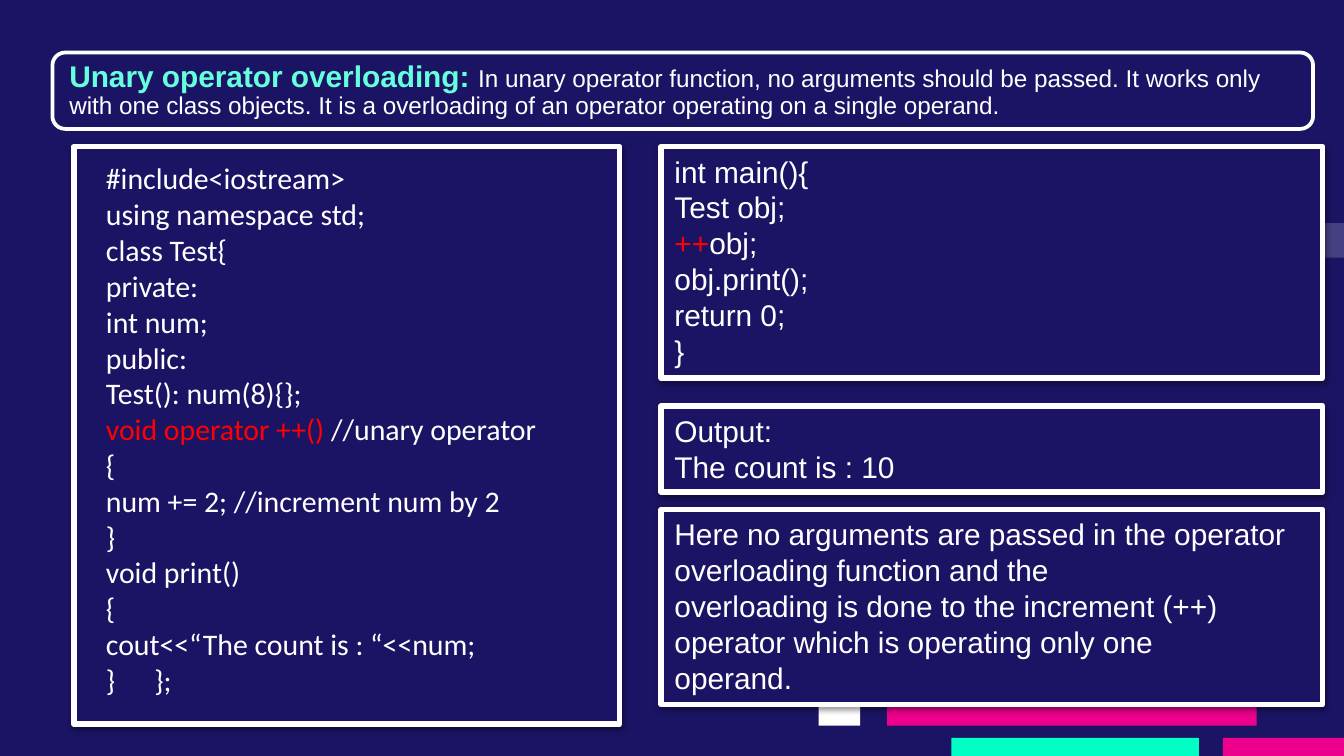
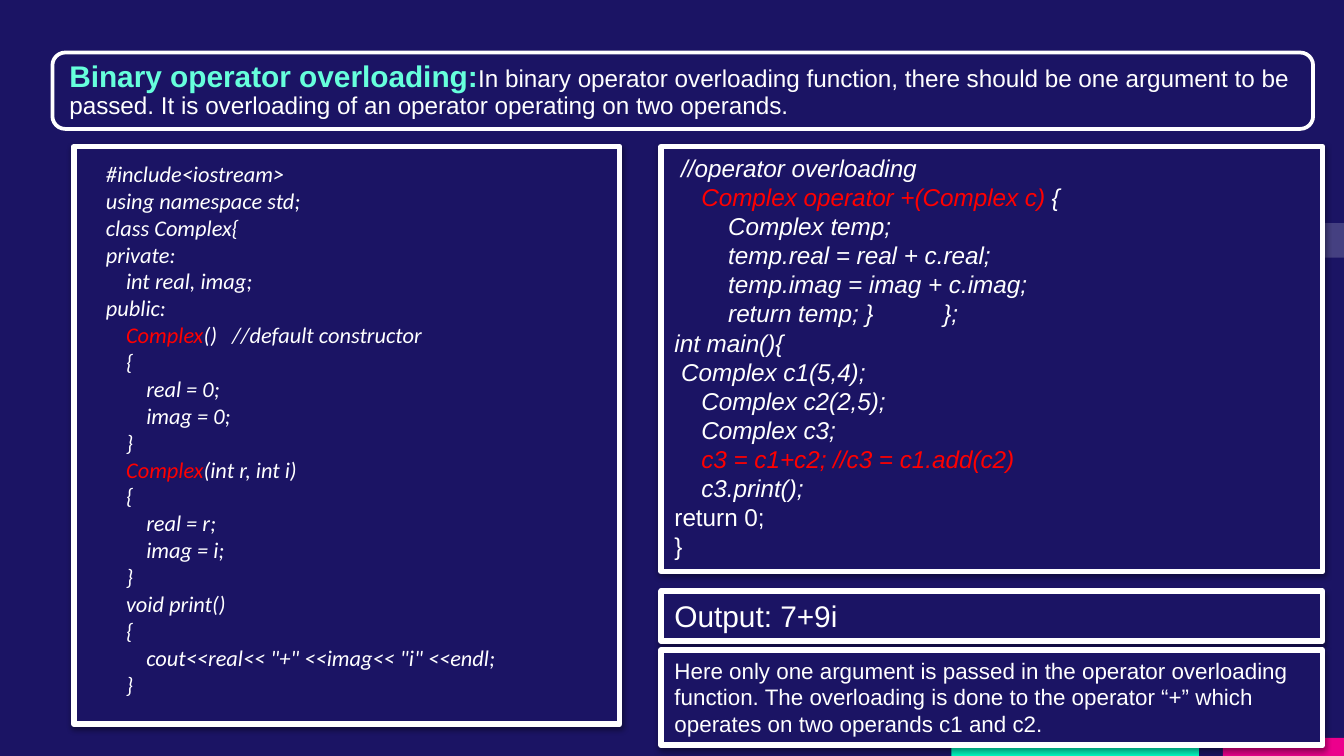
from lxml import etree
from pptx import Presentation, util as u
from pptx.dml.color import RGBColor
from pptx.enum import shapes, text
from pptx.oxml import parse_xml
from pptx.oxml.ns import qn

NS = "http://schemas.openxmlformats.org/drawingml/2006/main"
NAVY, WHITE, RED = "1B1464", "FFFFFF", "FF0000"
PINK, TEAL, MINT = "EC008C", "00FFC5", "66FFDC"
RECT = shapes.MSO_SHAPE.RECTANGLE
ROUND = shapes.MSO_SHAPE.ROUNDED_RECTANGLE
SHADOW = (f'<a:effectLst xmlns:a="{NS}"><a:outerShdw blurRad="39370" dist="20320" '
          'dir="5400000" rotWithShape="0"><a:srgbClr val="000000">'
          '<a:alpha val="38000"/></a:srgbClr></a:outerShdw></a:effectLst>')

prs = Presentation()
prs.slide_width, prs.slide_height = u.Inches(10), u.Inches(5.625)
COL, ROW = prs.slide_width / 100, prs.slide_height / 100


def panel(s, left, top, width, height, fill=NAVY, line=0, kind=RECT, shadow=False):
    sp = s.shapes.add_shape(kind, int(left * COL), int(top * ROW),
                            int(width * COL), int(height * ROW))
    sp.shadow.inherit = False
    sp.fill.solid()
    sp.fill.fore_color.rgb = RGBColor.from_string(fill)
    if line:
        sp.line.color.rgb = RGBColor.from_string(WHITE)
        sp.line.width = u.Pt(line)
    else:
        sp.line.fill.background()
    if shadow:
        effects = sp._element.spPr.find(qn("a:effectLst"))
        effects.getparent().replace(effects, parse_xml(SHADOW))
    return sp


def write(sp, lines, size=16, font="Arial", accent=RED, italic=False, upright=0,
          start=0, step=0, tab=0, margins=(0.1, 0.05), anchor=text.MSO_ANCHOR.TOP,
          spacing=None):
    tf = sp.text_frame
    tf.word_wrap = True
    tf.vertical_anchor = anchor
    tf.margin_left = tf.margin_right = u.Inches(margins[0])
    tf.margin_top = tf.margin_bottom = u.Inches(margins[1])
    for n, line in enumerate(lines):
        p = tf.paragraphs[0] if n == 0 else tf.add_paragraph()
        p.alignment = text.PP_ALIGN.LEFT
        p.line_spacing = spacing or u.Pt(size * 1.2)
        words = line.lstrip(">")
        first = start + step * (len(line) - len(words))
        left = tab if "\t" in words else first
        pPr = p._p.get_or_add_pPr()
        pPr.set("marL", str(u.Inches(left)))
        pPr.set("indent", str(u.Inches(first - left)))
        for k, part in enumerate(words.split("*")):
            if part:
                r = p.add_run()
                r.text = part
                r.font.name, r.font.size = font, u.Pt(size)
                r.font.bold = False
                r.font.italic = italic and n < len(lines) - upright
                r.font.color.rgb = RGBColor.from_string(accent if k % 2 else WHITE)


unary_code = """#include<iostream>
using namespace std;
class Test{
private:
int num;
public:
Test(): num(8){};
*void operator ++()* //unary operator
{
num += 2; //increment num by 2
}
void print()
{
cout<<“The count is : “<<num;
}\t};"""

unary_main = """int main(){
Test obj;
*++*obj;
obj.print();
return 0;
}"""

unary_note = """Here no arguments are passed in the operator overloading function and the
overloading is done to the increment (++) operator which is operating only one
operand."""

binary_code = """#include<iostream>
using namespace std;
class Complex{
private:
>int real, imag;
public:
>*Complex*()\t//default constructor
>{
>>real = 0;
>>imag = 0;
>}
>*Complex*(int r, int i)
>{
>>real = r;
>>imag = i;
>}
>void print()
>{
>>cout<<real<< "+" <<imag<< "i" <<endl;
>}"""

binary_main = """ //operator overloading
>*Complex operator +(Complex c) *{
>>Complex temp;
>>temp.real = real + c.real;
>>temp.imag = imag + c.imag;
>>return temp; }\t};
int main(){
\u00a0Complex c1(5,4);
>Complex c2(2,5);
>Complex c3;
>*c3 = c1+c2; //c3 = c1.add(c2)*
>c3.print();
return 0;
}"""

binary_note = ("Here only one argument is passed in the operator overloading function. "
               "The overloading is done to the operator “+” which operates on two "
               "operands c1 and c2.")

base_bars = [(67.8, 29.5, 32.2, 4.6, WHITE), (91, 97.6, 9, 2.4, PINK),
             (70.8, 97.6, 18.4, 2.4, TEAL)]
upper_bars = [(66, 93.5, 27.5, 2.5, PINK), (60.9, 93.5, 3.1, 2.5, WHITE)]

slides = [
    dict(bars=base_bars + upper_bars,
         title="*Unary operator overloading: *In unary operator function, no arguments "
               "should be passed. It works only with one class objects. It is a "
               "overloading of an operator operating on a single operand.",
         code=unary_code, style=dict(size=16, tab=0.5),
         boxes=[(19.4, 30.6, unary_main, {}),
                (53.7, 11.4, "Output:\nThe count is : 10", {}),
                (67.4, 25.8, unary_note, {})]),
    dict(bars=base_bars,
         title="*Binary operator overloading:*In binary operator overloading function, "
               "there should be one argument to be passed. It is overloading of an "
               "operator operating on two operands.",
         code=binary_code, style=dict(size=12, italic=True, step=0.15, tab=1.08),
         boxes=[(19.4, 56.2, binary_main,
                 dict(size=13, italic=True, upright=2, step=0.2, tab=2)),
                (78.2, 6.6, "Output: 7+9i", {}),
                (86, 12.6, binary_note, dict(size=12))]),
]

for page in slides:
    s = prs.slides.add_slide(prs.slide_layouts[6])
    s.background.fill.solid()
    s.background.fill.fore_color.rgb = RGBColor.from_string(NAVY)

    bars = [panel(s, *bar) for bar in page["bars"]]
    tint = bars[0]._element.spPr.find(qn("a:solidFill"))[0]
    etree.SubElement(tint, qn("a:alpha")).set("val", "19000")

    code = panel(s, 5.5, 19.4, 40.6, 76.4, line=3, shadow=True)
    write(code, page["code"].split("\n"), font="Calibri", start=0.14,
          margins=(0.1, 0.1), **page["style"])

    banner = panel(s, 3.9, 6.95, 93.8, 10.1, line=2, kind=ROUND)
    write(banner, [page["title"]], size=13, accent=MINT, margins=(0.1, 0.07),
          anchor=text.MSO_ANCHOR.MIDDLE, spacing=0.9)
    heading = banner.text_frame.paragraphs[0].runs[0].font
    heading.size, heading.bold = u.Pt(16), True

    for top, height, words, style in page["boxes"]:
        box = panel(s, 49.2, top, 49.2, height, line=3, shadow=True)
        write(box, words.split("\n"), **style)

prs.save("out.pptx")
